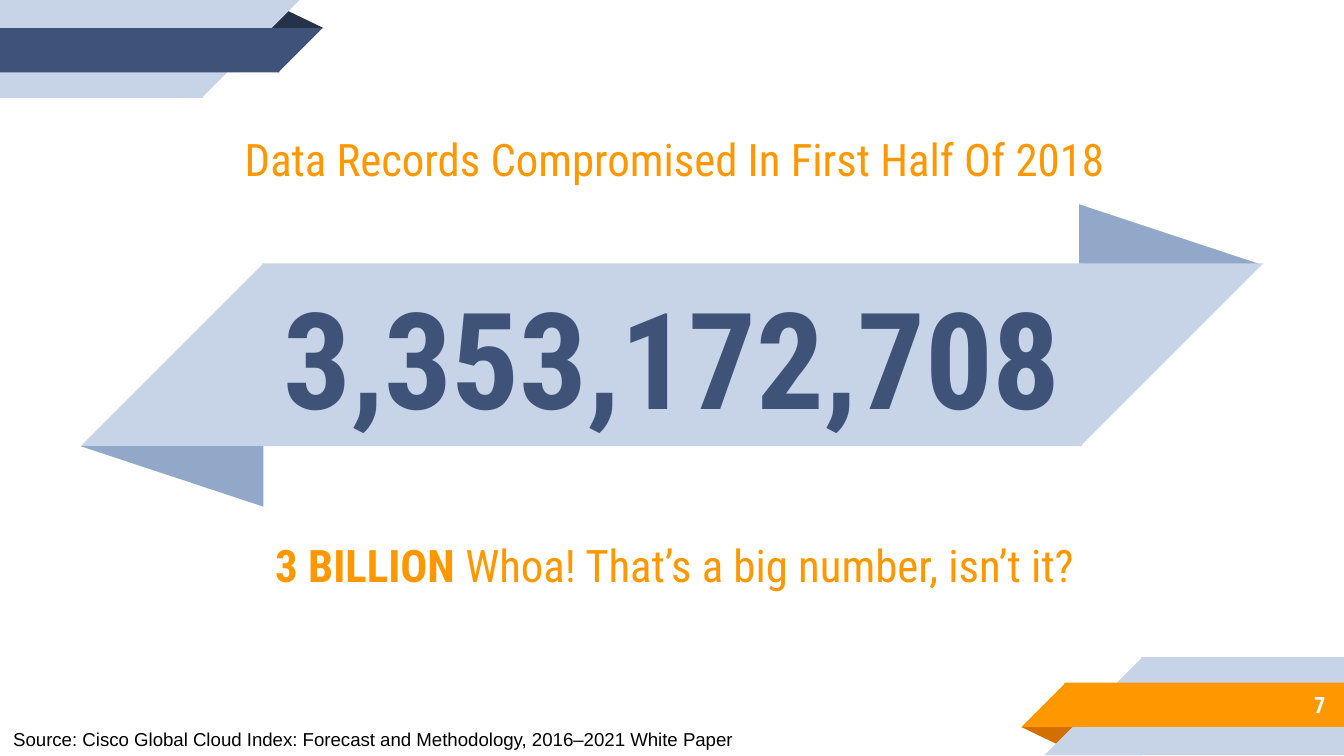
"""Build the slide on data records compromised in the first half of 2018."""
from pptx import Presentation
from pptx.dml.color import RGBColor
from pptx.enum import shapes, text
from pptx.util import Inches, Pt

NAVY = RGBColor(0x3F, 0x53, 0x78)
DARK_NAVY = RGBColor(0x26, 0x32, 0x48)
PALE_BLUE = RGBColor(0xC7, 0xD3, 0xE6)
MID_BLUE = RGBColor(0x92, 0xA8, 0xC8)
ORANGE = RGBColor(0xFF, 0x98, 0x00)
DARK_ORANGE = RGBColor(0xD2, 0x6F, 0x00)
WHITE = RGBColor(0xFF, 0xFF, 0xFF)
BLACK = RGBColor(0x00, 0x00, 0x00)

RECT = shapes.MSO_SHAPE.RECTANGLE
CORNER = shapes.MSO_SHAPE.RIGHT_TRIANGLE
FOLD = shapes.MSO_SHAPE.ISOSCELES_TRIANGLE
LEFT, CENTER, RIGHT = text.PP_ALIGN.LEFT, text.PP_ALIGN.CENTER, text.PP_ALIGN.RIGHT
CONDENSED = "Roboto Condensed"


def add_piece(preset, box, color, rotation=0, apex=None):
    piece = slide.shapes.add_shape(preset, *map(Inches, box))
    piece.shadow.inherit = False
    piece.fill.solid()
    piece.fill.fore_color.rgb = color
    piece.line.fill.background()
    piece.rotation = rotation
    if apex is not None:
        piece.adjustments[0] = apex


def add_text(box, runs, size, color, align=CENTER, font=CONDENSED,
             anchor=text.MSO_ANCHOR.MIDDLE, inset=0.1):
    frame = slide.shapes.add_textbox(*map(Inches, box)).text_frame
    frame.word_wrap = True
    frame.vertical_anchor = anchor
    frame.margin_top = frame.margin_bottom = Inches(inset)
    paragraph = frame.paragraphs[0]
    paragraph.alignment = align
    for words, bold in runs:
        run = paragraph.add_run()
        run.text = words
        run.font.name = font
        run.font.size = Pt(size)
        run.font.bold = bold
        run.font.color.rgb = color


prs = Presentation()
prs.slide_width = Inches(10)
prs.slide_height = Inches(10) * 9 // 16
slide = prs.slides.add_slide(prs.slide_layouts[6])

for preset, box, color, rotation, apex in [
    (FOLD, (1.98, 0.07, 0.43, 0.14), DARK_NAVY, 0, 0.324),
    (RECT, (0, 0, 1.51, 0.73), PALE_BLUE, 0, None),
    (CORNER, (1.5, 0, 0.73, 0.73), PALE_BLUE, 90, None),
    (RECT, (0, 0.21, 2.08, 0.33), NAVY, 0, None),
    (CORNER, (2.07, 0.21, 0.33, 0.33), NAVY, 90, None),
    (FOLD, (7.6, 5.41, 0.43, 0.14), DARK_ORANGE, 180, 0.324),
    (RECT, (8.49, 4.89, 1.51, 0.73), PALE_BLUE, 0, None),
    (CORNER, (7.77, 4.89, 0.73, 0.73), PALE_BLUE, 270, None),
    (RECT, (7.92, 5.08, 2.08, 0.33), ORANGE, 0, None),
    (CORNER, (7.6, 5.08, 0.33, 0.33), ORANGE, 270, None),
    (FOLD, (8.03, 1.52, 1.36, 0.45), MID_BLUE, 0, 0),
    (RECT, (1.95, 1.96, 6.1, 1.36), PALE_BLUE, 0, None),
    (CORNER, (8.04, 1.96, 1.36, 1.36), PALE_BLUE, 90, None),
    (CORNER, (0.6, 1.96, 1.36, 1.36), PALE_BLUE, 270, None),
    (FOLD, (0.6, 3.32, 1.36, 0.45), MID_BLUE, 180, 0),
]:
    add_piece(preset, box, color, rotation, apex)

add_text((0.61, 1.98, 8.79, 1.34), [("3,353,172,708", True)], 72, NAVY)
add_text((1.71, 3.93, 6.62, 0.54),
         [("3 BILLION ", True), ("Whoa! That’s a big number, isn’t it?", False)],
         24, ORANGE)
add_text((8.33, 5.07, 1.63, 0.35), [("7", True)], 12, WHITE, RIGHT)
add_text((1.71, 0.91, 6.62, 0.54),
         [("Data Records Compromised In First Half Of 2018", False)], 24, ORANGE)
add_text((0, 5.37, 6.47, 0.5),
         [("Source: Cisco Global Cloud Index: Forecast and Methodology, "
           "2016–2021 White Paper", False)],
         10, BLACK, LEFT, "Arial", text.MSO_ANCHOR.TOP, 0.05)

prs.save("out.pptx")
